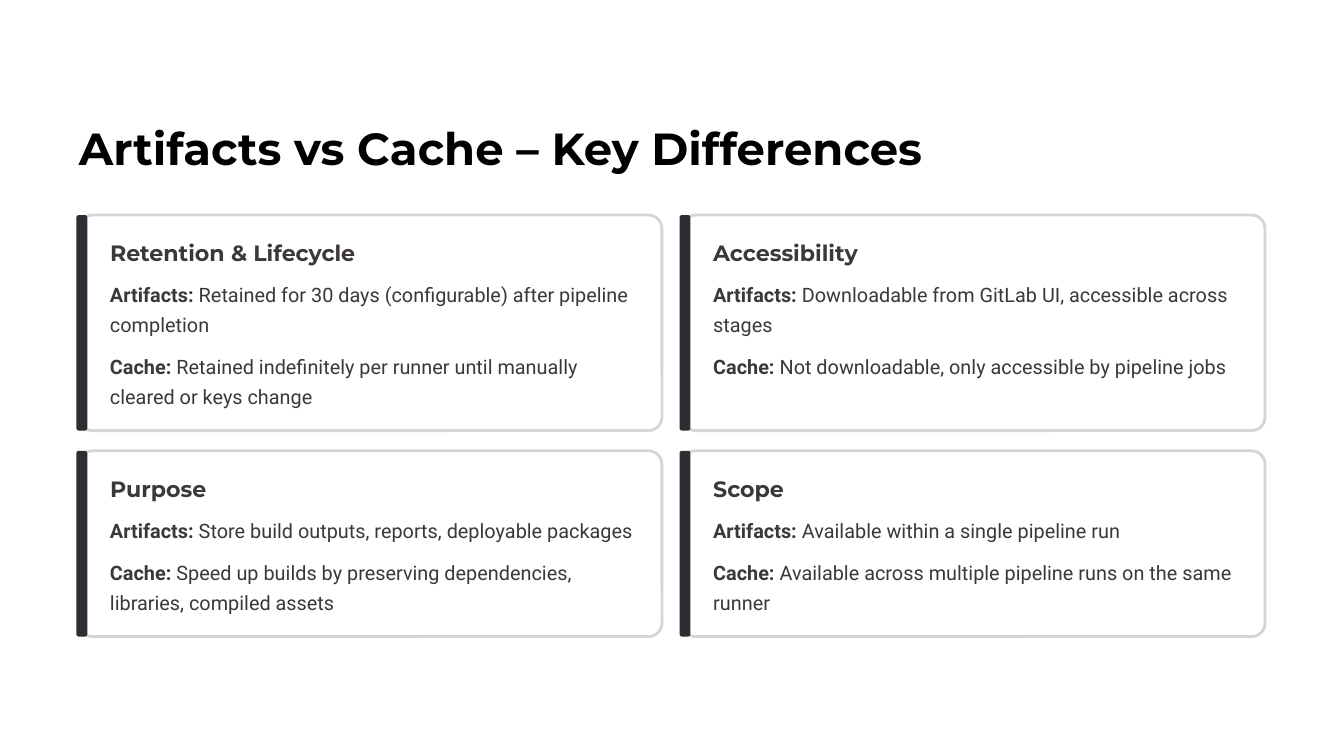
from pptx import Presentation
from pptx import util as u
from pptx.dml.color import RGBColor
from pptx.enum import shapes, text

COLORS = {"page": "FFFFFF", "title": "000000", "ink": "3D3838",
          "border": "D8D4D4", "accent": "2D2E34"}
LEFT, TOP = 0.94, 2.56
COLUMN, CARD_WIDTH, ROW_GAP = 7.18, 6.94, 0.24
LINE = 25.5 / 72
INSET, HEADING_TOP, BODY_TOP, ITEM_GAP, BOTTOM = 0.37, 0.27, 0.74, 0.14, 0.27

# Each row: line counts of its two items, then its cards
ROWS = [
    ((2, 2), [
        ("Retention & Lifecycle",
         "Retained for 30 days (configurable) after pipeline completion",
         "Retained indefinitely per runner until manually cleared or keys change"),
        ("Accessibility",
         "Downloadable from GitLab UI, accessible across stages",
         "Not downloadable, only accessible by pipeline jobs"),
    ]),
    ((1, 2), [
        ("Purpose",
         "Store build outputs, reports, deployable packages",
         "Speed up builds by preserving dependencies, libraries, compiled assets"),
        ("Scope",
         "Available within a single pipeline run",
         "Available across multiple pipeline runs on the same runner"),
    ]),
]


class Deck:
    def __init__(self):
        self.prs = Presentation()
        self.prs.slide_width, self.prs.slide_height = u.Inches(16), u.Inches(9)
        self.s = self.prs.slides.add_slide(self.prs.slide_layouts[5])
        fill = self.s.background.fill
        fill.solid()
        fill.fore_color.rgb = self.color("page")

    def color(self, name):
        return RGBColor.from_string(COLORS[name])

    def set_text(self, sp, runs, font, size, spacing, color="ink", wrap=True):
        """Fill one paragraph with (words, bold) runs."""
        tf = sp.text_frame
        tf.margin_left = tf.margin_top = tf.margin_right = tf.margin_bottom = 0
        tf.auto_size = text.MSO_AUTO_SIZE.NONE
        tf.vertical_anchor = text.MSO_ANCHOR.TOP
        tf.word_wrap = wrap
        p = tf.paragraphs[0]
        p.alignment = text.PP_ALIGN.LEFT
        p.line_spacing = u.Pt(spacing)
        p.font.name, p.font.size = font, u.Pt(size)
        p.font.color.rgb = self.color(color)
        for words, bold in runs:
            r = p.add_run()
            r.text, r.font.bold = words, bold

    def title(self, words):
        sp = self.s.shapes.title
        sp.left, sp.top = u.Inches(LEFT), u.Inches(1.41)
        sp.width, sp.height = u.Inches(10.08), u.Inches(0.67)
        self.set_text(sp, [(words, True)], "Montserrat", 38.5, 48, "title", wrap=False)

    def text_box(self, x, y, w, h, *args):
        sp = self.s.shapes.add_textbox(*map(u.Inches, (x, y, w, h)))
        self.set_text(sp, *args)

    def panel(self, x, y, w, h, radius, fill, line=None):
        sp = self.s.shapes.add_shape(shapes.MSO_SHAPE.ROUNDED_RECTANGLE,
                                     *map(u.Inches, (x, y, w, h)))
        sp.shadow.inherit = False
        sp.adjustments[0] = radius / min(w, h)
        sp.fill.solid()
        sp.fill.fore_color.rgb = self.color(fill)
        if line:
            sp.line.color.rgb = self.color(line)
            sp.line.width = u.Pt(2.4)
        else:
            sp.line.fill.background()

    def card(self, col, y, h, heading, items):
        """Draw a card; items are (label, words, line count)."""
        x = LEFT + col * COLUMN
        self.panel(x, y, CARD_WIDTH, h, 0.16, "page", "border")
        self.panel(x - 0.03, y, 0.13, h, 0.03, "accent")
        self.text_box(x + INSET, y + HEADING_TOP, 2.98, 0.34,
                      [(heading, True)], "Montserrat", 19, 24)
        y += BODY_TOP
        for label, words, lines in items:
            self.text_box(x + INSET, y, 6.3, lines * LINE,
                          [(label, True), (" " + words, False)], "Roboto", 17, 25.5)
            y += lines * LINE + ITEM_GAP


def main():
    deck = Deck()
    deck.title("Artifacts vs Cache – Key Differences")
    y = TOP
    for lines, cards in ROWS:
        h = BODY_TOP + sum(lines) * LINE + ITEM_GAP + BOTTOM
        for col, (heading, *words) in enumerate(cards):
            items = zip(("Artifacts:", "Cache:"), words, lines)
            deck.card(col, y, h, heading, items)
        y += h + ROW_GAP
    deck.prs.save("out.pptx")


if __name__ == "__main__":
    main()
